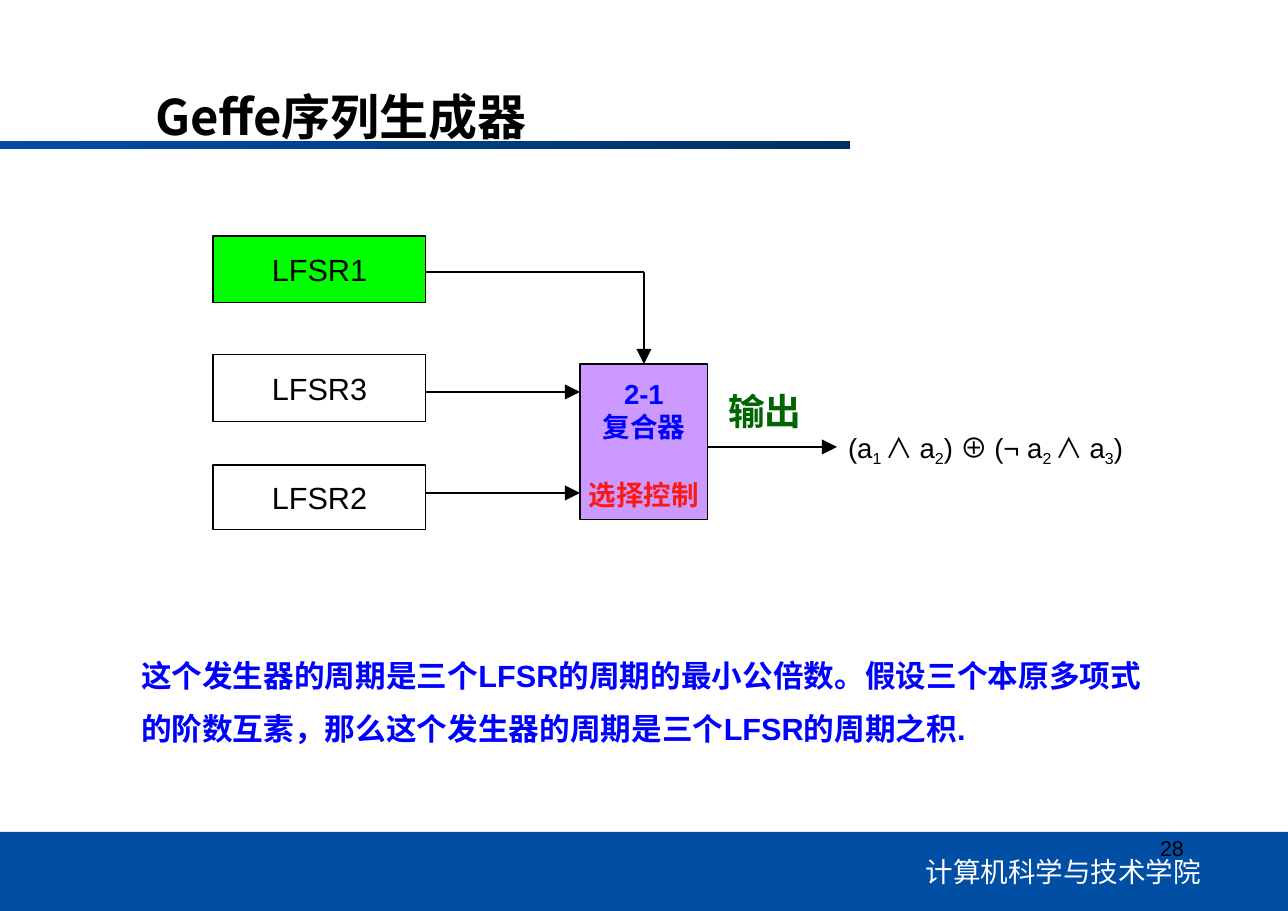
from lxml import etree
from pptx import Presentation
from pptx.dml.color import RGBColor
from pptx.enum.shapes import MSO_CONNECTOR, MSO_SHAPE
from pptx.enum.text import MSO_ANCHOR, PP_ALIGN
from pptx.oxml.ns import qn
from pptx.util import Pt

BLACK = RGBColor(0x00, 0x00, 0x00)
WHITE = RGBColor(0xFF, 0xFF, 0xFF)
GREEN = RGBColor(0x00, 0xFF, 0x00)
DARK_GREEN = RGBColor(0x00, 0x65, 0x00)
BLUE = RGBColor(0x00, 0x00, 0xFF)
RED = RGBColor(0xFD, 0x18, 0x13)
PURPLE = RGBColor(0xCC, 0x99, 0xFF)
BAND = RGBColor(0x00, 0x4F, 0xA5)
NAVY = RGBColor(0x00, 0x2F, 0x62)
ARIAL, CJK = "Arial", "Noto Sans CJK SC"
PX = 914400 / 110.2

REGISTERS = [
    ("LFSR1", 236, 67, GREEN, 272),
    ("LFSR3", 355, 67, None, 392),
    ("LFSR2", 465, 65, None, 493),
]
REG_X, REG_W = 213, 213
MUX = (580, 364, 128, 156)
MUX_LINES = [("2-1", ARIAL, BLUE, 0), ("复合器", CJK, BLUE, 0), ("选择控制", CJK, RED, 22)]
OUTPUT_Y, OUTPUT_END = 447, 837
FORMULA = [
    ("(a", ARIAL, 0), ("1 ", ARIAL, 1), ("∧ ", CJK, 0), ("a", ARIAL, 0),
    ("2", ARIAL, 1), (") ", ARIAL, 0), ("⊕ ", CJK, 0), ("(¬ a", ARIAL, 0),
    ("2 ", ARIAL, 1), ("∧ ", CJK, 0), ("a", ARIAL, 0), ("3", ARIAL, 1), (")", ARIAL, 0),
]
BODY = [
    ("这个发生器的周期是三个", CJK, 0), ("LFSR", ARIAL, 0),
    ("的周期的最小公倍数。假设三个本原多项式的阶数互素，那么这个发生器的周期是三个", CJK, 0),
    ("LFSR", ARIAL, 0), ("的周期之积", CJK, 0), (".", ARIAL, 0),
]
LABELS = [
    ((155, 84, 434, 64), [("Geffe序列生成器", CJK, 0)], 32, BLACK, True, PP_ALIGN.LEFT),
    ((728, 387, 77, 48), [("输出", CJK, 0)], 24, DARK_GREEN, True, PP_ALIGN.LEFT),
    ((848, 430, 289, 38), FORMULA, 18, BLACK, False, PP_ALIGN.LEFT),
    ((706, 850, 495, 44), [("计算机科学与技术学院", CJK, 0)], 18, WHITE, False, PP_ALIGN.RIGHT),
    ((1160, 834, 30, 28), [("28", ARIAL, 0)], 14, BLACK, False, PP_ALIGN.LEFT),
]


def px(*values):
    return [round(v * PX) for v in values]


def add_run(p, text, face, size, color, bold=False, sub=0):
    r = p.add_run()
    r.text = text
    r.font.size, r.font.bold, r.font.name = Pt(size), bold, face
    r.font.color.rgb = color
    rPr = r.font._element
    etree.SubElement(rPr, qn("a:ea")).set("typeface", face)
    if sub:
        rPr.set("baseline", "-21000")


def set_frame(sp, anchor):
    tf = sp.text_frame
    tf.word_wrap = True
    tf.vertical_anchor = anchor
    tf.margin_left = tf.margin_right = tf.margin_top = tf.margin_bottom = 0
    return tf


def add_text(s, box, runs, size, color, bold, align, anchor=MSO_ANCHOR.MIDDLE):
    tf = set_frame(s.shapes.add_textbox(*px(*box)), anchor)
    p = tf.paragraphs[0]
    p.alignment = align
    for text, face, sub in runs:
        add_run(p, text, face, size, color, bold, sub)
    return p


def add_rect(s, box, fill, line=None):
    sp = s.shapes.add_shape(MSO_SHAPE.RECTANGLE, *px(*box))
    sp.shadow.inherit = False
    if fill is None:
        sp.fill.background()
    else:
        sp.fill.solid()
        sp.fill.fore_color.rgb = fill
    if line is None:
        sp.line.fill.background()
    else:
        sp.line.color.rgb = line
        sp.line.width = Pt(0.75)
    return sp


def add_wire(s, x1, y1, x2, y2, arrow=True):
    c = s.shapes.add_connector(MSO_CONNECTOR.STRAIGHT, *px(x1, y1, x2, y2))
    c.line.color.rgb = BLACK
    c.line.width = Pt(1.75)
    if arrow:
        tail = etree.SubElement(c.line._get_or_add_ln(), qn("a:tailEnd"))
        for key, value in (("type", "triangle"), ("w", "lg"), ("len", "lg")):
            tail.set(key, value)
    etree.SubElement(c._element.spPr, qn("a:effectLst"))
    return c


def main():
    prs = Presentation()
    prs.slide_width, prs.slide_height = px(1288, 911)
    s = prs.slides.add_slide(prs.slide_layouts[6])

    rule = add_rect(s, (0, 141, 850, 8), BAND)
    rule.fill.gradient()
    rule.fill.gradient_angle = 0
    for stop, color in zip(rule.fill.gradient_stops, (BAND, NAVY)):
        stop.color.rgb = color
    add_rect(s, (0, 832, 1288, 79), BAND)

    mux_x, mux_y, mux_w, mux_h = MUX
    mux = add_rect(s, MUX, PURPLE, BLACK)
    tf = set_frame(mux, MSO_ANCHOR.TOP)
    tf.margin_top = px(12)[0]
    for i, (text, face, color, gap) in enumerate(MUX_LINES):
        p = tf.add_paragraph() if i else tf.paragraphs[0]
        p.alignment = PP_ALIGN.CENTER
        p.line_spacing = Pt(22)
        if gap:
            p.space_before = Pt(gap)
        add_run(p, text, face, 18, color, True)

    mux_mid = mux_x + mux_w // 2
    for name, y, h, fill, wire_y in REGISTERS:
        sp = add_rect(s, (REG_X, y, REG_W, h), fill, BLACK)
        p = set_frame(sp, MSO_ANCHOR.MIDDLE).paragraphs[0]
        p.alignment = PP_ALIGN.CENTER
        add_run(p, name, ARIAL, 20, BLACK)
        above = wire_y < mux_y
        add_wire(s, REG_X + REG_W, wire_y, mux_mid if above else mux_x, wire_y, not above)
        if above:
            add_wire(s, mux_mid, wire_y, mux_mid, mux_y).end_connect(mux, 0)
    add_wire(s, mux_x + mux_w, OUTPUT_Y, OUTPUT_END, OUTPUT_Y)

    for label in LABELS:
        add_text(s, *label)
    body = add_text(s, (141, 641, 1006, 106), BODY, 20, BLUE, True, PP_ALIGN.LEFT, MSO_ANCHOR.TOP)
    body.line_spacing = Pt(34.6)

    prs.save("out.pptx")


if __name__ == "__main__":
    main()
